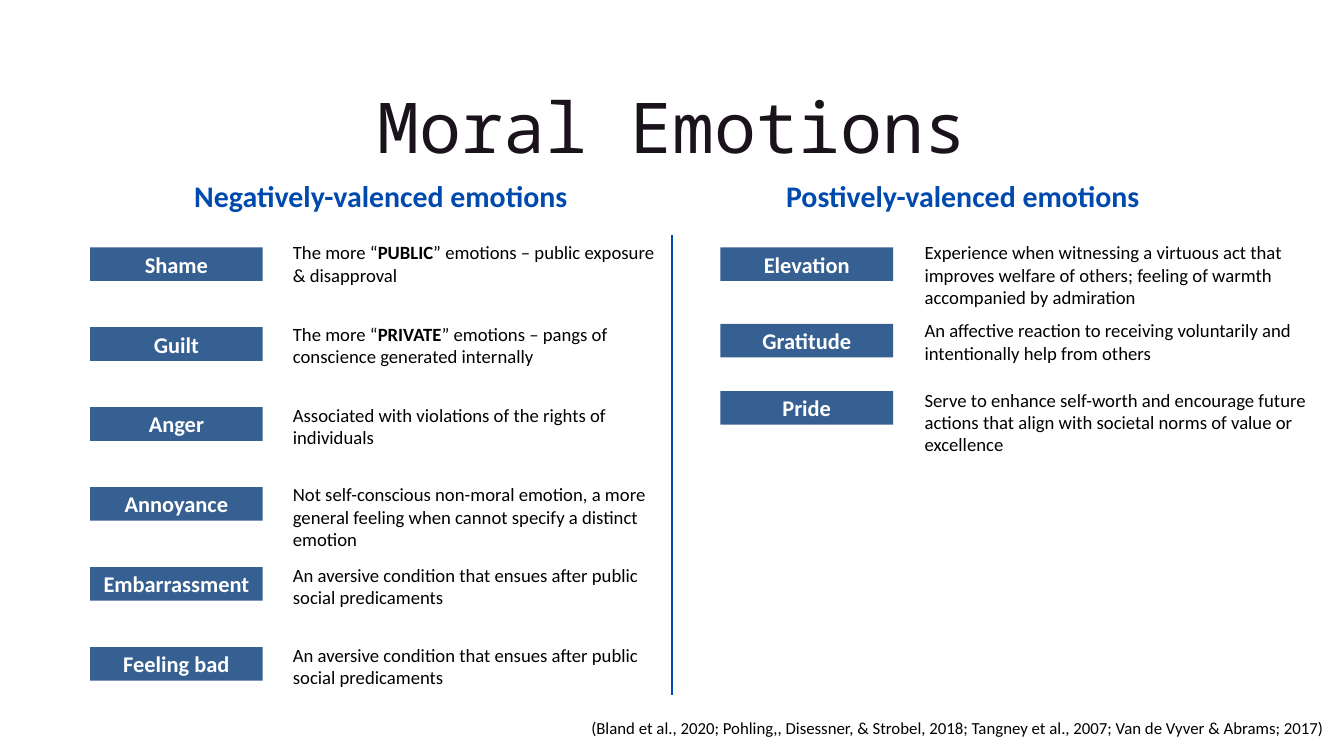
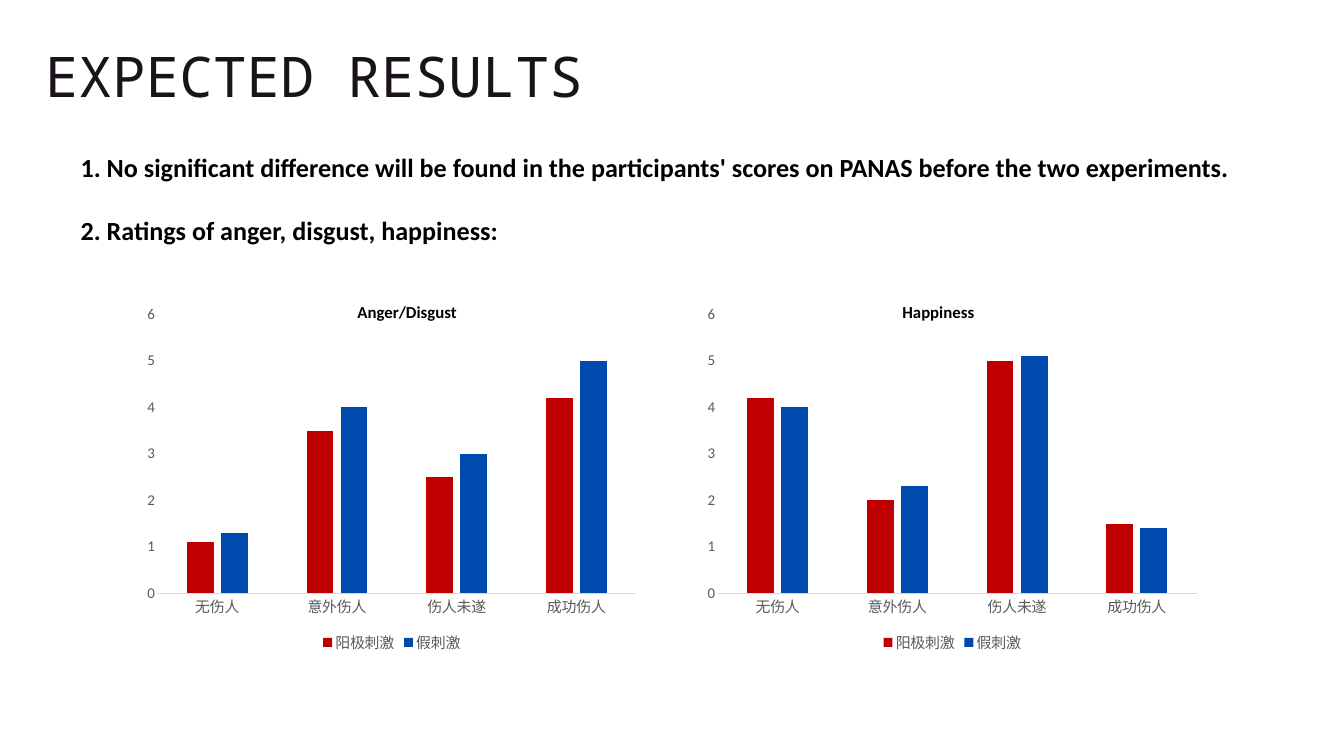
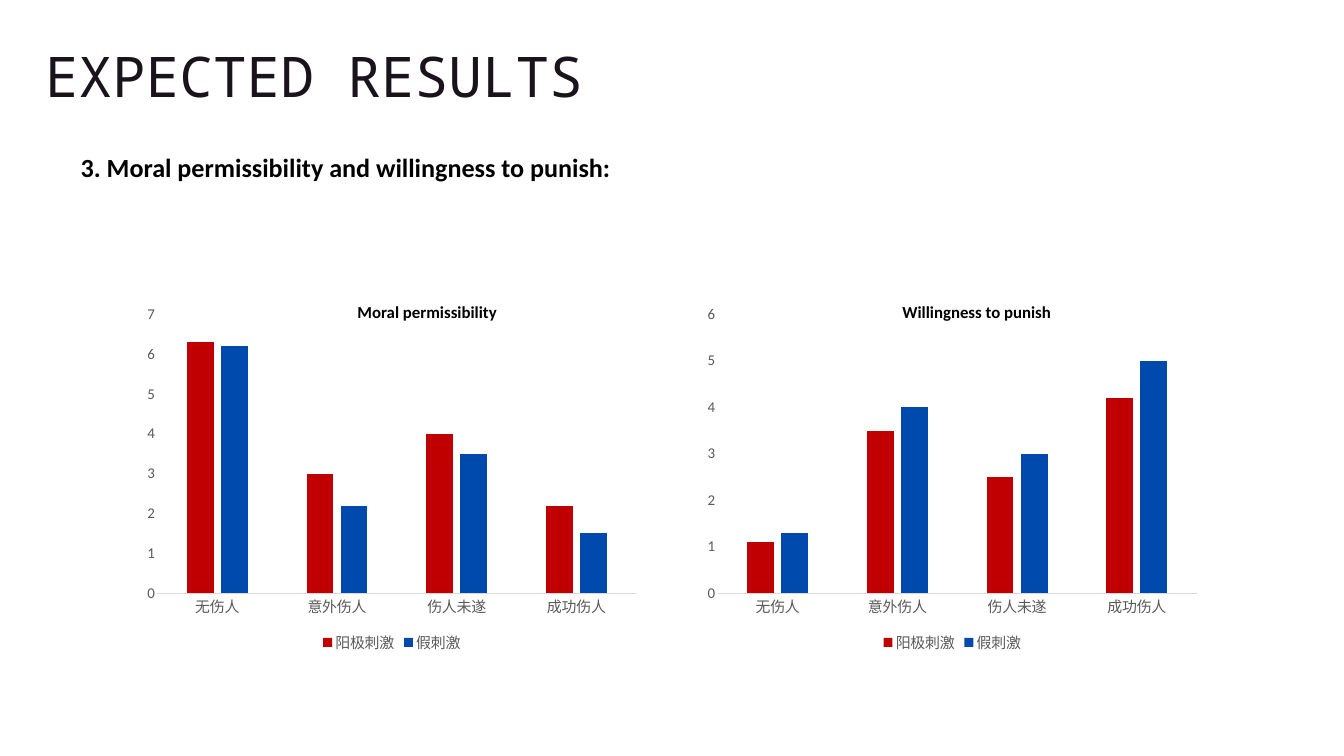
from dataclasses import dataclass

import lxml.etree
import pptx
import pptx.chart.data
import pptx.dml.color
import pptx.enum.chart
import pptx.enum.shapes
import pptx.enum.text
import pptx.oxml.ns
import pptx.util

PX = 9144
Pt = pptx.util.Pt
Align = pptx.enum.text.PP_ALIGN
Fit = pptx.enum.text.MSO_AUTO_SIZE
qn = pptx.oxml.ns.qn


@dataclass(frozen=True)
class Theme:
    """Colours, fonts and type sizes of the deck."""
    ink: str = "1B131B"
    black: str = "000000"
    white: str = "FFFFFF"
    blue: str = "004AAD"
    steel: str = "376092"
    red: str = "C00000"
    grey: str = "595959"
    rule: str = "D9D9D9"
    mono: str = "Noto Sans Mono"
    sans: str = "Calibri"
    hero: int = 75
    title: int = 60
    head: int = 32
    point: int = 28
    label: int = 24
    note: int = 20
    small: int = 18
    axis: int = 16


T = Theme()

NEGATIVE = [
    ("Shame", 14, 2, "The more “*PUBLIC*” emotions – public exposure & disapproval"),
    ("Guilt", 12, 2, "The more “*PRIVATE*” emotions – pangs of conscience generated internally"),
    ("Anger", 10, 2, "Associated with violations of the rights of individuals"),
    ("Annoyance", 11, 3, "Not self-conscious non-moral emotion, a more general feeling "
                         "when cannot specify a distinct emotion"),
    ("Embarrassment", 10, 2, "An aversive condition that ensues after public social predicaments"),
    ("Feeling bad", 10, 2, "An aversive condition that ensues after public social predicaments"),
]
POSITIVE = [
    ("Elevation", 14, 3, "Experience when witnessing a virtuous act that improves welfare "
                         "of others; feeling of warmth accompanied by admiration"),
    ("Gratitude", 12, 2, "An affective reaction to receiving voluntarily and intentionally "
                         "help from others"),
    ("Pride", 9, 3, "Serve to enhance self-worth and encourage future actions that align "
                    "with societal norms of value or excellence"),
]
SOURCES = ("(Bland et al., 2020; Pohling,, Disessner, & Strobel, 2018; "
           "Tangney et al., 2007; Van de Vyver & Abrams; 2017)")
HARM = ["无伤人", "意外伤人", "伤人未遂", "成功伤人"]
GROUPS = [("阳极刺激", T.red), ("假刺激", T.blue)]
RISING = ([1.1, 3.5, 2.5, 4.2], [1.3, 4, 3, 5])
RESULTS = [
    (["1. No significant difference will be found in the participants' scores on PANAS "
      "before the two experiments.",
      "2. Ratings of anger, disgust, happiness:"], 151,
     [("Anger/Disgust", 169, RISING),
      ("Happiness", 128, ([4.2, 2, 5, 1.5], [4, 2.3, 5.1, 1.4]))]),
    (["3. Moral permissibility and willingness to punish:"], 57,
     [("Moral permissibility", 229, ([6.3, 3, 4, 2.2], [6.2, 2.2, 3.5, 1.5])),
      ("Willingness to punish", 249, RISING)]),
]


def rgb(code):
    """Return a colour from its hex code."""
    return pptx.dml.color.RGBColor.from_string(code)


def box(*sides):
    """Turn lengths in px into EMU."""
    return [side * PX for side in sides]


def place(shape, *sides):
    """Move and size a shape."""
    shape.left, shape.top, shape.width, shape.height = box(*sides)


def ink(font, size, color, bold=False, face=T.sans):
    """Set size, colour, weight and face of a font."""
    font.size, font.bold, font.name = Pt(size), bold, face
    font.color.rgb = rgb(color)


def style(frame, size, color, bold=False, face=T.sans, align=Align.LEFT):
    """Format every run of a text frame."""
    for para in frame.paragraphs:
        para.alignment = align
        for run in para.runs:
            ink(run.font, size, color, bold, face)


def add_title(slide, text, spot, size, pitch, align=Align.LEFT):
    """Fill the title placeholder."""
    title = slide.shapes.title
    place(title, *spot)
    frame = title.text_frame
    frame.text = text
    frame.auto_size = Fit.NONE
    frame.vertical_anchor = pptx.enum.text.MSO_ANCHOR.TOP
    frame.margin_left = frame.margin_right = frame.margin_top = frame.margin_bottom = 0
    style(frame, size, T.ink, face=T.mono, align=align)
    frame.paragraphs[0].line_spacing = Pt(pitch)


def add_points(slide, points, height):
    """Fill the body placeholder with typed-number points."""
    body = slide.placeholders[1]
    place(body, 110, 220, 1890, height)
    frame = body.text_frame
    frame.text = "\n".join(points)
    frame.auto_size = Fit.NONE
    for i, para in enumerate(frame.paragraphs):
        props = para._p.get_or_add_pPr()
        props.set("marL", "0")
        props.set("indent", "0")
        lxml.etree.SubElement(props, qn("a:buNone"))
        para.space_before = Pt(34 if i else 0)
    style(frame, T.point, T.black, bold=True)


def add_text(slide, text, spot, size, bold=False, align=Align.LEFT, wrap=True):
    """Add a text box in which *stars* mark bold words."""
    frame = slide.shapes.add_textbox(*box(*spot)).text_frame
    frame.word_wrap = wrap
    frame.auto_size = Fit.SHAPE_TO_FIT_TEXT
    para = frame.paragraphs[0]
    for part in text.split("*"):
        para.add_run().text = part
    style(frame, size, T.black, bold, align=align)
    for run in para.runs[1::2]:
        run.font.bold = True


def add_label(slide, text, left, top):
    """Add a filled name tag."""
    tag = slide.shapes.add_shape(pptx.enum.shapes.MSO_SHAPE.RECTANGLE,
                                 *box(left, top, 257, 50))
    tag.shadow.inherit = False
    tag.fill.solid()
    tag.fill.fore_color.rgb = rgb(T.steel)
    tag.line.fill.background()
    tag.text_frame.text = text
    style(tag.text_frame, T.label, T.white, bold=True, align=Align.CENTER)


def add_terms(slide, terms, tops, left, inset, width):
    """Add a column of name tags with their notes."""
    for (name, lift, lines, note), top in zip(terms, tops):
        add_label(slide, name, left, top)
        add_text(slide, note, (left + inset, top - lift, width, 10 + 34 * lines), T.note)


def add_edge(cell, side):
    """Draw a blue border on one side of a cell."""
    props = cell._tc.get_or_add_tcPr()
    line = lxml.etree.Element(qn("a:" + side), w=str(Pt(3)))
    fill = lxml.etree.SubElement(line, qn("a:solidFill"))
    lxml.etree.SubElement(fill, qn("a:srgbClr"), val=T.blue)
    props.insert(0, line)


def add_frame(slide, heads):
    """Add the two-column table that holds the headings."""
    table = slide.shapes.add_table(2, 2, *box(134, 236, 1732, 798)).table
    table.first_row = table.horz_banding = False
    table.rows[0].height, table.rows[1].height = box(115, 683)
    for cell in table.iter_cells():
        cell.fill.background()
        cell.vertical_anchor = pptx.enum.text.MSO_ANCHOR.MIDDLE
    for i, head in enumerate(heads):
        frame = table.cell(0, i).text_frame
        frame.text = head
        style(frame, T.head, T.blue, bold=True, align=Align.CENTER)
    add_edge(table.cell(1, 0), "lnR")
    add_edge(table.cell(1, 1), "lnL")


def add_bars(slide, left, rows):
    """Add a clustered column chart of both groups."""
    data = pptx.chart.data.CategoryChartData()
    data.categories = HARM
    for (name, _), row in zip(GROUPS, rows):
        data.add_series(name, row)
    kind = pptx.enum.chart.XL_CHART_TYPE.COLUMN_CLUSTERED
    chart = slide.shapes.add_chart(kind, *box(left, 444, 758, 532), data).chart
    ink(chart.font, T.axis, T.black)
    chart.has_title = False
    chart.has_legend = True
    chart.legend.position = pptx.enum.chart.XL_LEGEND_POSITION.BOTTOM
    chart.legend.include_in_layout = False
    ink(chart.legend.font, T.axis, T.grey)
    for axis in (chart.category_axis, chart.value_axis):
        axis.has_major_gridlines = False
        axis.major_tick_mark = pptx.enum.chart.XL_TICK_MARK.NONE
        ink(axis.tick_labels.font, T.axis, T.grey)
    chart.category_axis.format.line.color.rgb = rgb(T.rule)
    chart.category_axis.format.line.width = Pt(0.75)
    chart.value_axis.format.line.fill.background()
    plot = chart.plots[0]
    plot.gap_width, plot.overlap, plot.vary_by_categories = 219, -27, False
    for bars, (_, color) in zip(plot.series, GROUPS):
        bars.format.fill.solid()
        bars.format.fill.fore_color.rgb = rgb(color)


def add_result(deck, points, height, charts):
    """Add a slide of points above two captioned charts."""
    slide = deck.slides.add_slide(deck.slide_layouts[1])
    add_title(slide, "EXPECTED RESULTS", (67, 43, 1064, 112), T.title, 85)
    add_points(slide, points, height)
    for (name, width, rows), left, start in zip(charts, (204, 1038), (522, 1333)):
        add_bars(slide, left, rows)
        add_text(slide, name, (start, 444, width, 40), T.small, bold=True, wrap=False)


def add_moral(deck):
    """Add the slide that sorts the moral emotions."""
    slide = deck.slides.add_slide(deck.slide_layouts[5])
    add_frame(slide, ["Negatively-valenced emotions", "Postively-valenced emotions"])
    add_title(slide, "Moral Emotions", (517, 135, 966, 116), T.hero, 82.5, Align.CENTER)
    add_terms(slide, NEGATIVE, range(368, 1000, 119), 134, 292, 574)
    add_terms(slide, POSITIVE, (368, 482, 582), 1072, 294, 591)
    add_text(slide, SOURCES, (794, 1063, 1186, 40), T.small, align=Align.RIGHT)


def main():
    """Build the deck and save it."""
    deck = pptx.Presentation()
    deck.slide_width, deck.slide_height = box(2000, 1125)
    add_moral(deck)
    for result in RESULTS:
        add_result(deck, *result)
    deck.save("out.pptx")


if __name__ == "__main__":
    main()
